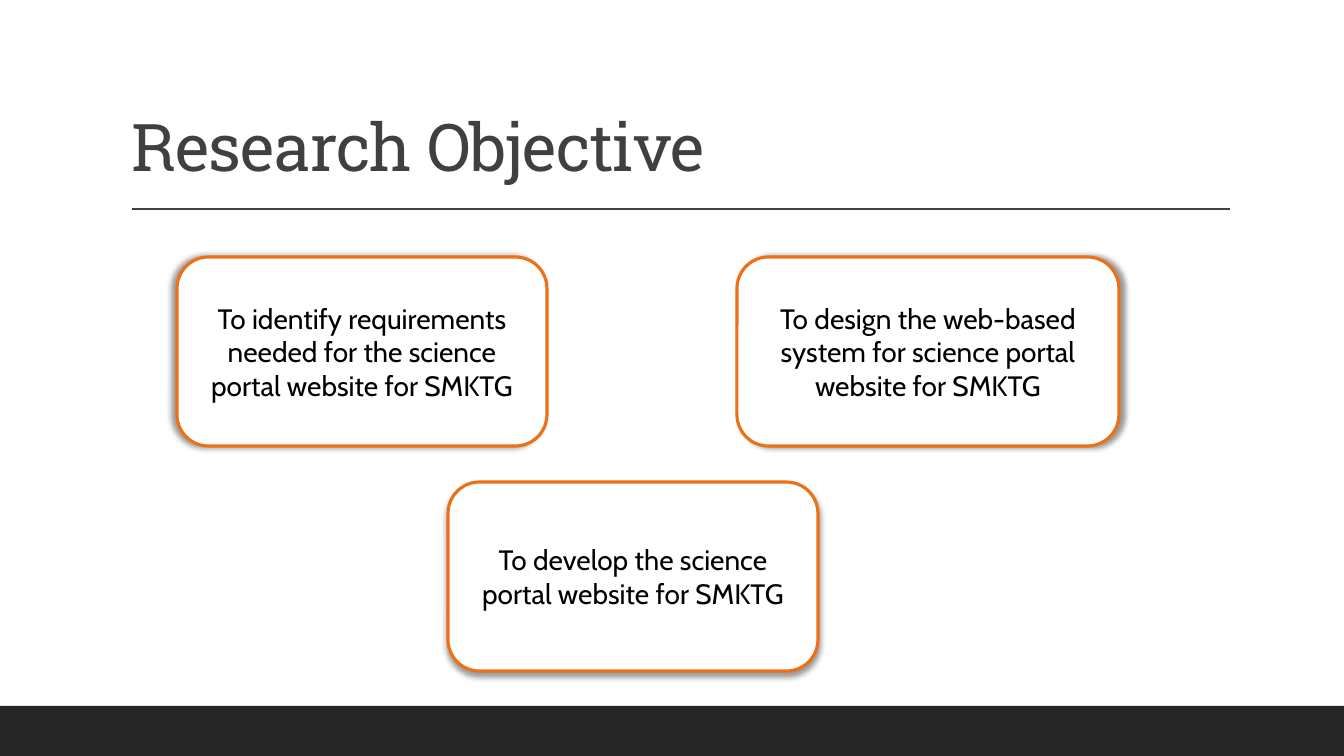
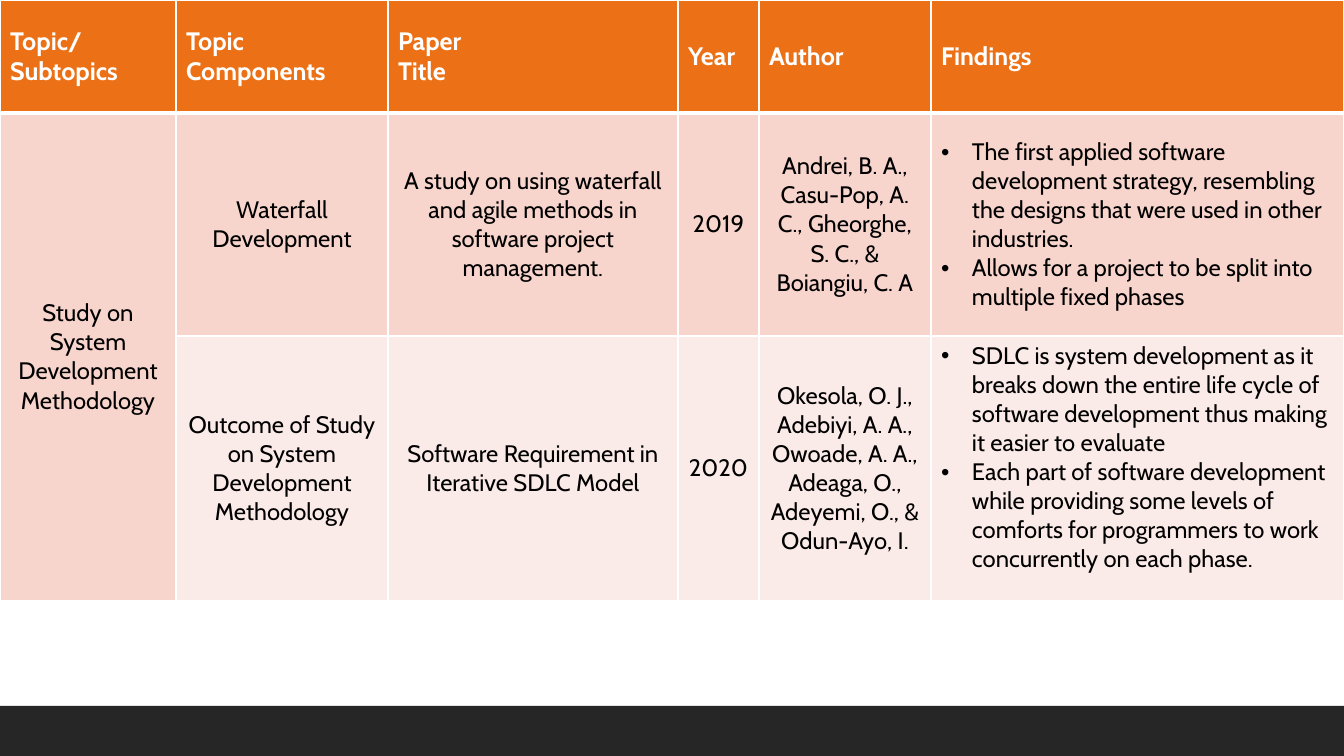
"""Builds a slide of research objectives and a slide with a literature table."""
from dataclasses import dataclass

from lxml.etree import SubElement
from pptx import Presentation
from pptx.dml.color import RGBColor
from pptx.enum.shapes import MSO_CONNECTOR, MSO_SHAPE
from pptx.enum.text import MSO_ANCHOR, MSO_AUTO_SIZE, PP_ALIGN
from pptx.oxml.ns import qn
from pptx.util import Emu, Pt


@dataclass(frozen=True)
class Theme:
    head: str = "Roboto Slab"
    body: str = "Cabin"
    ink: str = "000000"
    white: str = "FFFFFF"
    grey: str = "404040"
    dark: str = "262626"
    accent: str = "EC7016"
    bands: tuple = ("F8D5CC", "FBEBE8")
    title: int = 47
    card: int = 20
    label: int = 18
    cell: int = 17


THEME = Theme()
WIDE, HIGH, BAND = 1344, 756, 50
SCALE = 12192000 / WIDE

TITLE = "Research Objective"
CARDS = [
    ("To identify requirements needed for the science portal website for SMKTG",
     (177, 257, 370, 189), 180),
    ("To design the web-based system for science portal website for SMKTG",
     (737, 257, 382, 189), 0),
    ("To develop the science portal website for SMKTG",
     (448, 482, 370, 189), 90),
]

COLS = [176, 212, 290, 81, 172, 413]
ROWS = [113, 223, 265]
HEADS = [["Topic/", "Subtopics"], ["Topic", "Components"], ["Paper", "Title"],
         ["Year"], ["Author"], ["Findings"]]
STUDIES = [
    [["Study on System Development Methodology"],
     ["Waterfall Development"],
     ["A study on using waterfall and agile methods in software project management."],
     ["2019"],
     ["Andrei, B. A., Casu-Pop, A. C., Gheorghe, S. C., & Boiangiu, C. A"],
     ["The first applied software development strategy, resembling the designs "
      "that were used in other industries.",
      "Allows for a project to be split into multiple fixed phases"]],
    [[],
     ["Outcome of Study on System Development Methodology"],
     ["Software Requirement in Iterative SDLC Model"],
     ["2020"],
     ["Okesola, O. J., Adebiyi, A. A., Owoade, A. A., Adeaga, O., Adeyemi, O., "
      "& Odun-Ayo, I."],
     ["SDLC is system development as it breaks down the entire life cycle of "
      "software development thus making it easier to evaluate",
      "Each part of software development while providing some levels of comforts "
      "for programmers to work concurrently on each phase."]],
]


def px(num):
    return Emu(round(num * SCALE))


def rgb(code):
    return RGBColor.from_string(code)


def style(par, face, size, tone, bold=False, align=PP_ALIGN.LEFT):
    par.alignment = align
    font = par.font
    font.name, font.size, font.bold = face, Pt(size), bold
    font.color.rgb = rgb(tone)


def block(slide, kind, area, fill):
    shape = slide.shapes.add_shape(kind, *map(px, area))
    shape.shadow.inherit = False
    shape.fill.solid()
    shape.fill.fore_color.rgb = rgb(fill)
    shape.line.fill.background()
    return shape


def start(deck, layout):
    slide = deck.slides.add_slide(deck.slide_layouts[layout])
    block(slide, MSO_SHAPE.RECTANGLE, (0, HIGH - BAND, WIDE, BAND), THEME.dark)
    return slide


def head(slide, text):
    line = slide.shapes.add_connector(
        MSO_CONNECTOR.STRAIGHT, px(132), px(209), px(1230), px(209))
    line.line.color.rgb = rgb(THEME.grey)
    line.line.width = Pt(1)
    SubElement(line._element.spPr, qn("a:effectLst"))
    title = slide.shapes.title
    title.left, title.top, title.width, title.height = map(px, (121, 31, 1109, 160))
    frame = title.text_frame
    frame.text = text
    frame.word_wrap = True
    frame.auto_size = MSO_AUTO_SIZE.NONE
    frame.vertical_anchor = MSO_ANCHOR.BOTTOM
    par = frame.paragraphs[0]
    par.line_spacing = 0.9
    style(par, THEME.head, THEME.title, THEME.grey)
    par.runs[0]._r.get_or_add_rPr().set("spc", "-50")


def shade(shape, angle):
    glow = SubElement(shape._element.spPr.find(qn("a:effectLst")), qn("a:outerShdw"),
                      blurRad=str(Pt(4)), dist=str(Pt(3)),
                      dir=str(angle * 60000), rotWithShape="0")
    tone = SubElement(glow, qn("a:srgbClr"), val=THEME.ink)
    SubElement(tone, qn("a:alpha"), val="40000")


def card(slide, text, area, angle):
    shape = block(slide, MSO_SHAPE.ROUNDED_RECTANGLE, area, THEME.white)
    shape.line.color.rgb = rgb(THEME.accent)
    shape.line.width = Pt(2.25)
    shade(shape, angle)
    frame = shape.text_frame
    frame.text = text
    frame.word_wrap = True
    frame.vertical_anchor = MSO_ANCHOR.MIDDLE
    style(frame.paragraphs[0], THEME.body, THEME.card, THEME.ink,
          align=PP_ALIGN.CENTER)


def border(cell, row):
    thick = {0: "lnB", 1: "lnT"}.get(row)
    for side in ("lnL", "lnR", "lnT", "lnB"):
        edge = SubElement(cell._tc.get_or_add_tcPr(), qn(f"a:{side}"),
                          w=str(Pt(3 if side == thick else 1)))
        SubElement(SubElement(edge, qn("a:solidFill")), qn("a:srgbClr"),
                   val=THEME.white)


def bullet(par):
    props = par._p.get_or_add_pPr()
    props.set("marL", str(px(31)))
    props.set("indent", str(px(-31)))
    SubElement(props, qn("a:buFont"), typeface="Arial")
    SubElement(props, qn("a:buChar"), char="•")


def fill(cell, row, col, lines):
    border(cell, row)
    cell.fill.solid()
    cell.fill.fore_color.rgb = rgb((THEME.accent, *THEME.bands)[row])
    last = col == len(COLS) - 1
    top = last and row == len(ROWS) - 1
    cell.vertical_anchor = MSO_ANCHOR.TOP if top else MSO_ANCHOR.MIDDLE
    if not lines:
        return
    cell.text = "\n".join(lines)
    for par in cell.text_frame.paragraphs:
        if row == 0:
            style(par, THEME.body, THEME.label, THEME.white, bold=True)
            continue
        if last:
            bullet(par)
        style(par, THEME.body, THEME.cell, THEME.ink,
              align=PP_ALIGN.LEFT if last else PP_ALIGN.CENTER)


def grid(slide):
    table = slide.shapes.add_table(len(ROWS), len(COLS), 0, 0,
                                   px(sum(COLS)), px(sum(ROWS))).table
    table.horz_banding = False
    for col, width in zip(table.columns, COLS):
        col.width = px(width)
    for row, height in zip(table.rows, ROWS):
        row.height = px(height)
    table.cell(1, 0).merge(table.cell(2, 0))
    for row, cells in enumerate([HEADS, *STUDIES]):
        for col, lines in enumerate(cells):
            fill(table.cell(row, col), row, col, lines)


def main():
    deck = Presentation()
    deck.slide_width, deck.slide_height = px(WIDE), px(HIGH)
    goals = start(deck, 5)
    head(goals, TITLE)
    for item in CARDS:
        card(goals, *item)
    grid(start(deck, 6))
    deck.save("out.pptx")


if __name__ == "__main__":
    main()
